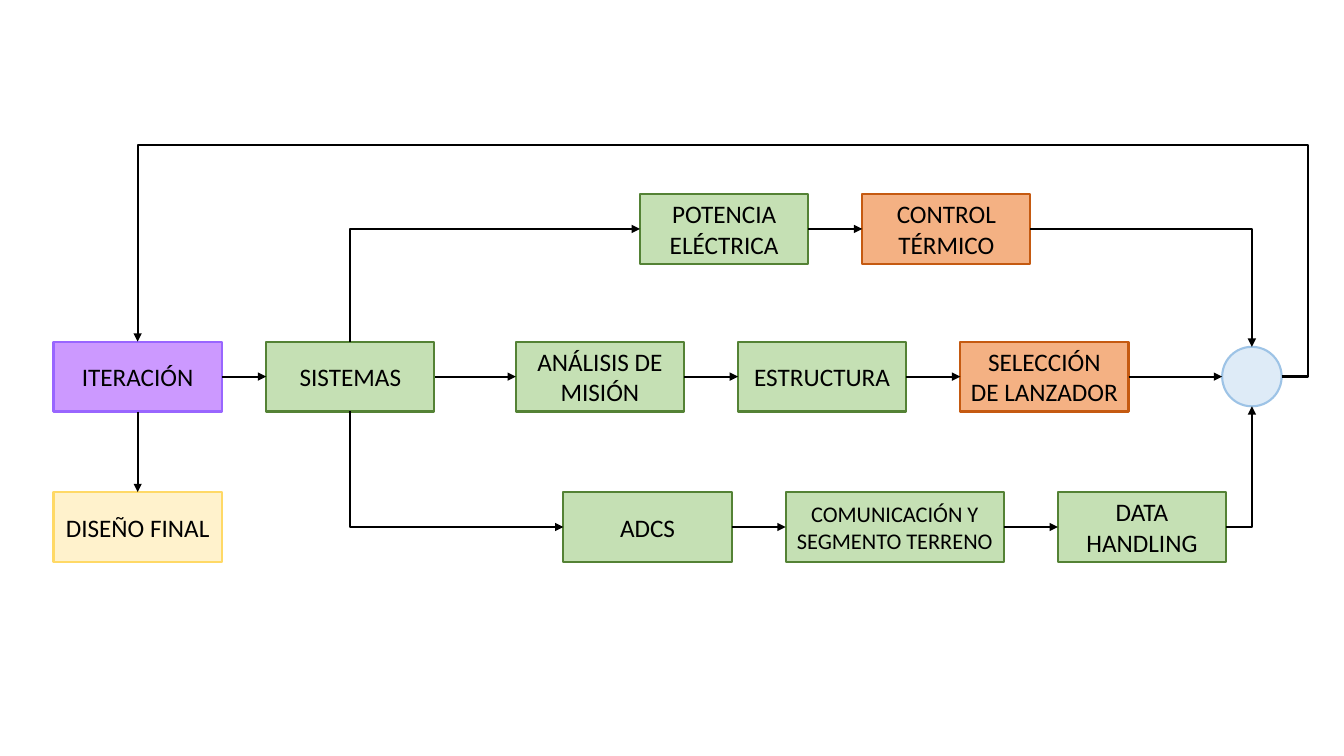
from dataclasses import dataclass

from lxml import etree
from pptx import Presentation
from pptx.dml.color import RGBColor
from pptx.enum.shapes import MSO_CONNECTOR, MSO_SHAPE
from pptx.enum.text import MSO_ANCHOR, PP_ALIGN
from pptx.oxml.ns import qn
from pptx.util import Cm, Pt

RECT, OVAL = MSO_SHAPE.RECTANGLE, MSO_SHAPE.OVAL
STRAIGHT, ELBOW = MSO_CONNECTOR.STRAIGHT, MSO_CONNECTOR.ELBOW
MIDDLE, CENTER = MSO_ANCHOR.MIDDLE, PP_ALIGN.CENTER


@dataclass(frozen=True)
class Theme:
    """Colours as (fill, line) pairs, and type sizes in points."""
    font: str = "Calibri"
    size: int = 18
    small: int = 16
    line: float = 1.5
    ink: str = "000000"
    purple: tuple = ("CC99FF", "9966FF")
    green: tuple = ("C5E0B4", "548235")
    orange: tuple = ("F4B183", "C55A11")
    yellow: tuple = ("FFF2CC", "FFD966")
    blue: tuple = ("DEEBF7", "9DC3E6")


theme = Theme()
NODE_W, NODE_H = 4.24, 1.76
TOP_ROW, MID_ROW, LOW_ROW = 4.89, 8.61, 12.4
GAP = 1.36
JOIN_D = 1.5
LOOP_X, LOOP_Y = 32.95, 3.66

prs = Presentation()
prs.slide_width, prs.slide_height = Cm(33.87), Cm(19.05)
s = prs.slides.add_slide(prs.slide_layouts[6])


def add_node(text, left, top, width=NODE_W, height=NODE_H, colors=theme.green,
             size=theme.size, kind=RECT):
    """Add a filled shape with centred text, one paragraph per line of text."""
    sp = s.shapes.add_shape(kind, Cm(left), Cm(top), Cm(width), Cm(height))
    sp.shadow.inherit = False
    sp.fill.solid()
    sp.fill.fore_color.rgb = RGBColor.from_string(colors[0])
    sp.line.color.rgb = RGBColor.from_string(colors[1])
    sp.line.width = Pt(theme.line)
    tf = sp.text_frame
    tf.word_wrap = True
    tf.vertical_anchor = MIDDLE
    tf.margin_left = tf.margin_right = Cm(0.24)
    tf.text = text
    for p in tf.paragraphs:
        p.alignment = CENTER
        p.font.name = theme.font
        p.font.size = Pt(size)
        p.font.color.rgb = RGBColor.from_string(theme.ink)
    return sp


def add_arrow(start, end, kind=STRAIGHT, preset=None, vertical_first=False):
    """Add a glued arrow between two (shape, side) pairs."""
    points, sites = [], []
    for sp, side in (start, end):
        fx, fy = {"top": (0.5, 0), "left": (0, 0.5),
                  "bottom": (0.5, 1), "right": (1, 0.5)}[side]
        points += [int(sp.left + fx * sp.width), int(sp.top + fy * sp.height)]
        step = 2 if sp.auto_shape_type == OVAL else 1
        site = ["top", "left", "bottom", "right"].index(side) * step
        sites.append({"id": str(sp.shape_id), "idx": str(site)})
    cxn = s.shapes.add_connector(kind, *points)
    cxn.line.color.rgb = RGBColor.from_string(theme.ink)
    cxn.line.width = Pt(theme.line)
    sp_pr = cxn.line._get_or_add_ln().getparent()
    etree.SubElement(sp_pr.find(qn("a:ln")), qn("a:tailEnd"), type="triangle")
    etree.SubElement(sp_pr, qn("a:effectLst"))
    glue = next(sp_pr.getparent().iter(qn("p:cNvCxnSpPr")))
    for tag, site in zip(("a:stCxn", "a:endCxn"), sites):
        etree.SubElement(glue, qn(tag), site)
    if preset:
        sp_pr.find(qn("a:prstGeom")).set("prst", preset)
    if vertical_first:
        x1, y1, x2, y2 = points
        w, h = abs(y2 - y1), abs(x2 - x1)
        cxn.left, cxn.top = (x1 + x2 - w) // 2, (y1 + y2 - h) // 2
        cxn.width, cxn.height = w, h
        xfrm = sp_pr.find(qn("a:xfrm"))
        down = y2 > y1
        xfrm.set("rot", str((270 if down else 90) * 60000))
        xfrm.set("flipH", "1")
        xfrm.set("flipV", "0" if down else "1")
    return cxn


# Nodes
iteration = add_node("ITERACIÓN", 1.35, MID_ROW, colors=theme.purple)
systems = add_node("SISTEMAS", 6.71, MID_ROW)
final = add_node("DISEÑO FINAL", 1.35, LOW_ROW, colors=theme.yellow)
join = add_node("", 30.8, MID_ROW + (NODE_H - JOIN_D) / 2, JOIN_D, JOIN_D,
                colors=theme.blue, kind=OVAL)

# Branches: each row starts at its own left edge and keeps the same gap
branches = [
    (16.13, TOP_ROW, [("POTENCIA\nELÉCTRICA", {}),
                      ("CONTROL\nTÉRMICO", {"colors": theme.orange})]),
    (13.0, MID_ROW, [("ANÁLISIS DE MISIÓN", {}), ("ESTRUCTURA", {}),
                     ("SELECCIÓN\nDE LANZADOR", {"colors": theme.orange})]),
    (14.2, LOW_ROW, [("ADCS", {}),
                     ("COMUNICACIÓN Y SEGMENTO TERRENO",
                      {"width": 5.5, "size": theme.small}),
                     ("DATA\nHANDLING", {})]),
]
rows = []
for left, top, items in branches:
    row = []
    for text, fmt in items:
        row.append(add_node(text, left, top, **fmt))
        left += fmt.get("width", NODE_W) + GAP
    rows.append(row)
power_row, mission_row, adcs_row = rows

# Straight arrows
add_arrow((iteration, "bottom"), (final, "top"))
for chain in (power_row, [iteration, systems, *mission_row, join], adcs_row):
    for a, b in zip(chain, chain[1:]):
        add_arrow((a, "right"), (b, "left"))

# Elbow arrows out of the systems node and into the join
for row, side in ((power_row, "top"), (adcs_row, "bottom")):
    add_arrow((systems, side), (row[0], "left"), ELBOW, "bentConnector2", True)
    add_arrow((row[-1], "right"), (join, side), ELBOW, "bentConnector2")

# Feedback loop: its two bends are fractions of the connector's box
loop = add_arrow((join, "right"), (iteration, "top"), ELBOW, "bentConnector4")
right, bottom = loop.left + loop.width, loop.top + loop.height
bends = ((right - Cm(LOOP_X)) / loop.width, (bottom - Cm(LOOP_Y)) / loop.height)
av_lst = next(loop.line._get_or_add_ln().getparent().iter(qn("a:avLst")))
for i, bend in enumerate(bends, 1):
    etree.SubElement(av_lst, qn("a:gd"), name=f"adj{i}",
                     fmla=f"val {round(bend * 100000)}")

prs.save("out.pptx")
